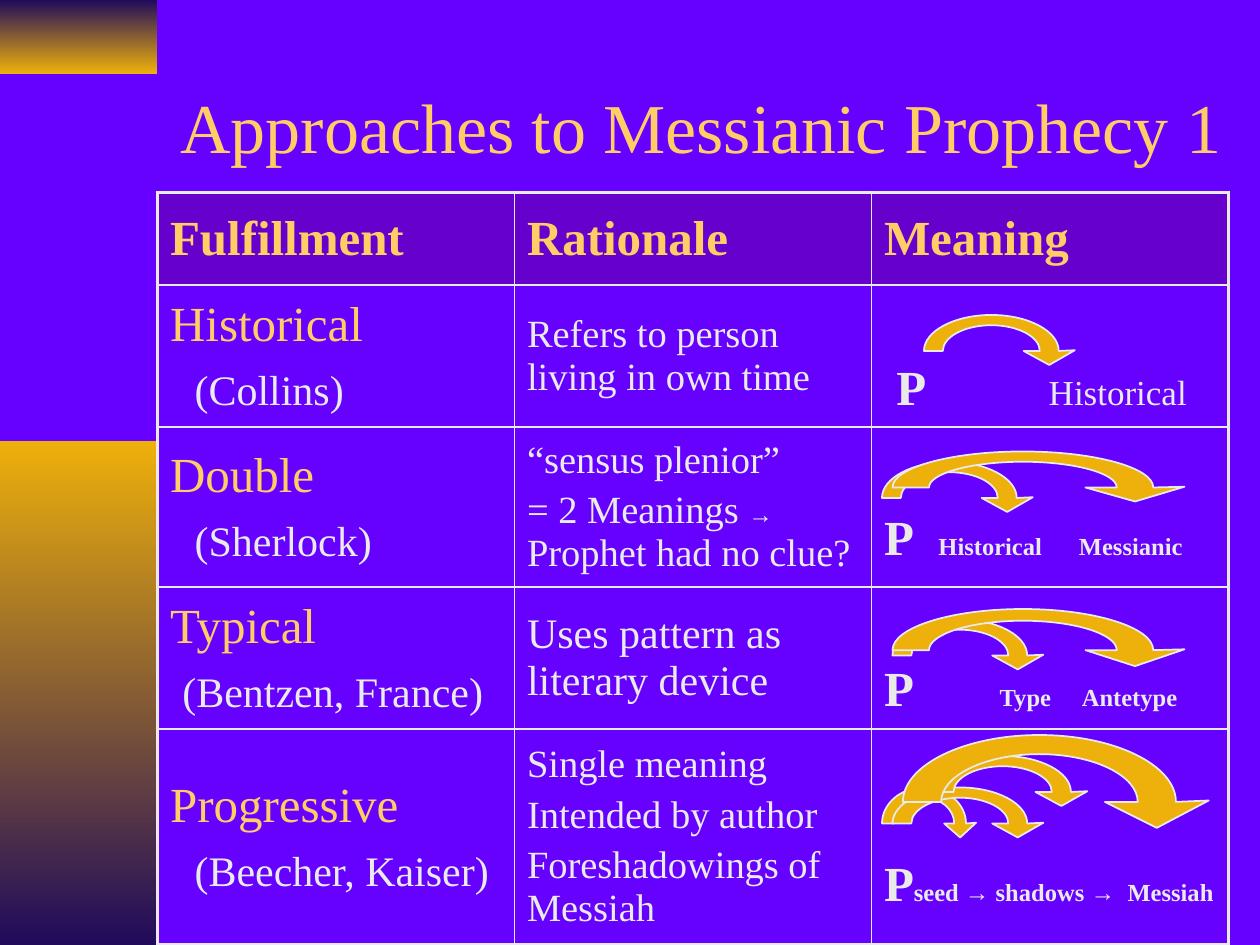
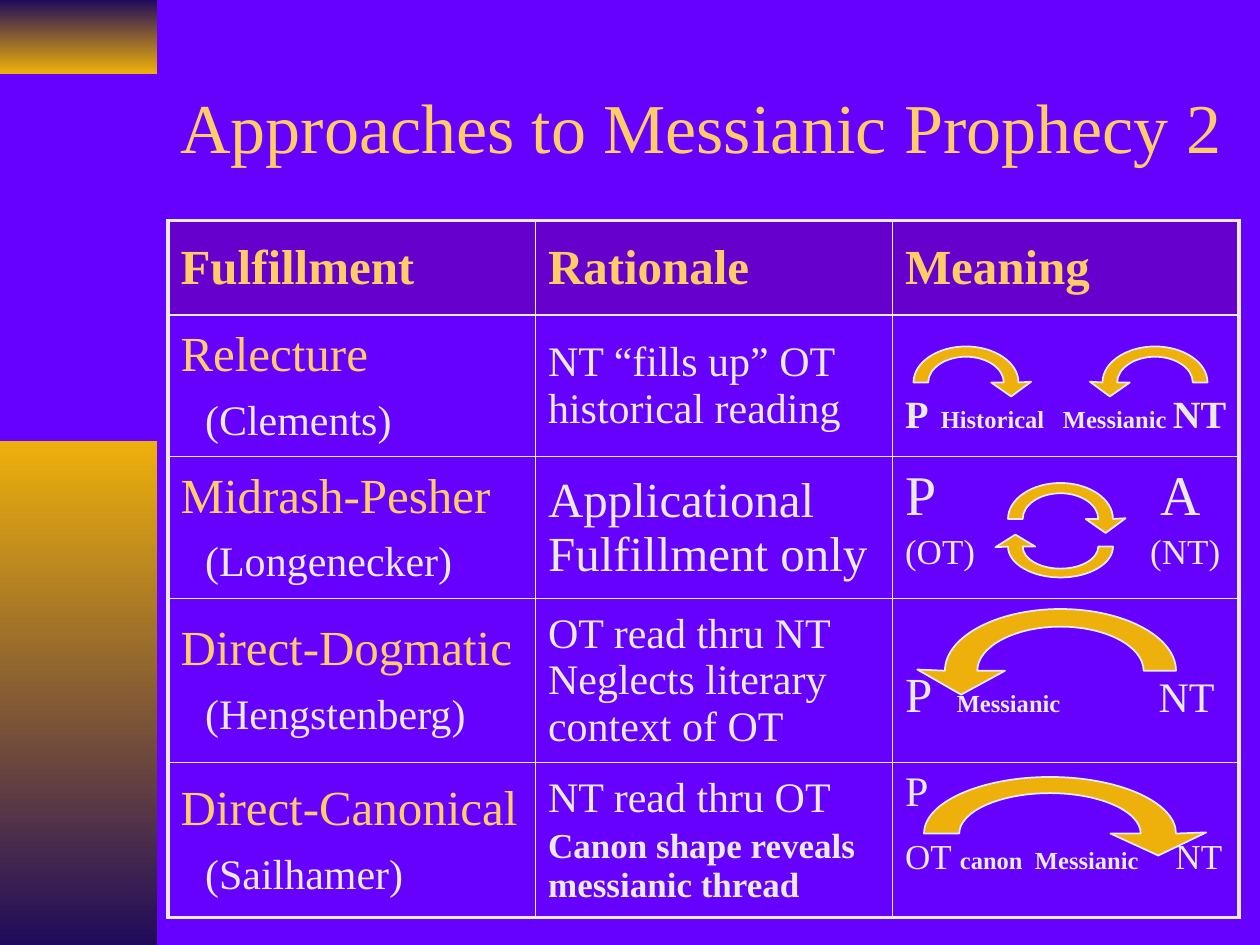
import itertools
from dataclasses import dataclass

import pptx
import pptx.dml.color
import pptx.enum.shapes
import pptx.enum.text
import pptx.oxml
import pptx.oxml.ns
import pptx.util
from lxml import etree

Pt = pptx.util.Pt
qn = pptx.oxml.ns.qn
ANCHOR = pptx.enum.text.MSO_ANCHOR

FONT = "Times New Roman"
VIOLET, PURPLE, NAVY = "6600FF", "6600CC", "200B5B"
GOLD, SAND, PALE = "EEB00B", "FFCC66", "EAEAEA"
HEADINGS = ("Fulfillment", "Rationale", "Meaning")
GAP_SIZE = 14


@dataclass
class Line:
    """One paragraph: runs of (text, size, bold), or a number for a gap of that width."""
    runs: list
    before: float = 0
    indent: float = 0
    color: str = PALE


@dataclass
class Approach:
    """One table row; lift is the space under the text of the Meaning cell."""
    name: str
    scholars: str
    rationale: list
    meaning: list
    lift: float
    height: float
    indent: float = 14


def plain(text, size, bold=False, before=0):
    """Return a line of a single run."""
    return Line([(text, size, bold)], before)


SLIDE_1 = [
    Approach("Historical", "(Collins)",
             [plain("Refers to person living in own time", 22)],
             [Line([("P", 28, True), 70, ("Historical", 20, False)], indent=7)],
             6, 81),
    Approach("Double", "(Sherlock)",
             [plain("“sensus plenior”", 22),
              Line([("= 2 Meanings ", 22, False), ("→", 14, True),
                    (" Prophet had no clue?", 22, False)], before=4)],
             [Line([("P", 28, True), 14, ("Historical", 14, True), 21, ("Messianic", 14, True)])],
             12, 91.5),
    Approach("Typical", "(Bentzen, France)",
             [plain("Uses pattern as literary device", 24)],
             [Line([("P", 28, True), 49, ("Type", 14, True), 17.5, ("Antetype", 14, True)])],
             6.5, 81, indent=7),
    Approach("Progressive", "(Beecher, Kaiser)",
             [plain("Single meaning", 22),
              plain("Intended by author", 22, before=4.5),
              plain("Foreshadowings of Messiah", 22, before=4.5)],
             [Line([("P", 28, True), ("seed → shadows →", 14, True), 7, ("Messiah", 14, True)])],
             18.5, 123.5),
]

SLIDE_2 = [
    Approach("Relecture", "(Clements)",
             [plain("NT “fills up” OT historical reading", 24)],
             [Line([("P", 22, True), 7, ("Historical", 14, True), 10.5,
                    ("Messianic ", 14, True), ("NT", 22, True)])],
             11.5, 81),
    Approach("Midrash-Pesher", "(Longenecker)",
             [plain("Applicational Fulfillment only", 28)],
             [Line([("P", 32, False), 128, ("A", 32, False)]),
              Line([("(OT)", 20, False), 100, ("(NT)", 20, False)], before=3.5)],
             15, 81),
    Approach("Direct-Dogmatic", "(Hengstenberg)",
             [plain("OT read thru NT Neglects literary context of OT", 24)],
             [Line([("P", 28, False), 14, ("Messianic", 14, True), 56, ("NT", 24, False)])],
             22.5, 93),
    Approach("Direct-Canonical", "(Sailhamer)",
             [plain("NT read thru OT", 24),
              plain("Canon shape reveals messianic thread", 20, True, before=3.5)],
             [plain("P", 24),
              Line([("OT ", 20, False), ("canon", 14, True), 7, ("Messianic", 14, True),
                    21, ("NT", 20, False)], before=12.5)],
             23.5, 88),
]

ARROWS_1 = [
    (528, 180, 77, 42),
    (504, 264, 77, 42), (510, 258, 149, 42),
    (510, 354, 77, 42), (510, 348, 149, 48),
    (504, 450, 48, 42), (510, 450, 77, 42), (534, 432, 78, 42), (516, 420, 156, 78),
]
ARROWS_2 = [
    (522, 198, 60, 42), (630, 198, 60, 42, True),
    (576, 276, 60, 42), (576, 294, 60, 36, True, True),
    (540, 348, 132, 72, True),
    (528, 444, 144, 66),
]


def rgb(value):
    """Turn a hex string into a colour."""
    return pptx.dml.color.RGBColor.from_string(value)


def add_run(paragraph, text, size, bold, color):
    """Append one styled run."""
    run = paragraph.add_run()
    run.text = text
    run.font.name, run.font.size, run.font.bold = FONT, Pt(size), bold
    run.font.color.rgb = rgb(color)
    return run


def add_gap(paragraph, width, color):
    """Append one space, widened by character spacing."""
    gap = add_run(paragraph, " ", GAP_SIZE, False, color)
    gap.font._element.set("spc", str(round((width - GAP_SIZE / 4) * 100)))


def write_lines(frame, lines):
    """Fill a text frame with lines, run by run."""
    frame.word_wrap = True
    for number, line in enumerate(lines):
        paragraph = frame.add_paragraph() if number else frame.paragraphs[0]
        if number:
            paragraph.space_before = Pt(line.before)
        properties = paragraph._p.get_or_add_pPr()
        properties.set("marL", str(Pt(line.indent)))
        properties.set("indent", "0")
        for piece in line.runs:
            if isinstance(piece, tuple):
                add_run(paragraph, *piece, line.color)
            else:
                add_gap(paragraph, piece, line.color)


def add_band(slide, top, height, start, end):
    """Draw a vertical gradient block at the left edge."""
    band = slide.shapes.add_shape(pptx.enum.shapes.MSO_SHAPE.RECTANGLE,
                                  0, Pt(top), Pt(90), Pt(height))
    band.shadow.inherit = False
    band.line.fill.background()
    band.fill.gradient()
    band.fill.gradient_angle = 270
    for stop, position, color in zip(band.fill.gradient_stops, (0, 1), (start, end)):
        stop.position = position
        stop.color.rgb = rgb(color)


def add_title(slide, text):
    """Place the slide title."""
    title = slide.shapes.add_textbox(Pt(96), Pt(24), Pt(612), Pt(95)).text_frame
    title.vertical_anchor = ANCHOR.MIDDLE
    write_lines(title, [Line([(text, 40, False)], color=SAND)])


def set_borders(cell, widths):
    """Draw the left, right, top and bottom borders of a cell."""
    properties = cell._tc.get_or_add_tcPr()
    for side, width in zip("LRTB", widths):
        properties.append(pptx.oxml.parse_xml(
            f'<a:ln{side} {pptx.oxml.ns.nsdecls("a")} w="{Pt(width)}"><a:solidFill>'
            f'<a:srgbClr val="{PALE}"/></a:solidFill></a:ln{side}>'))


def add_approach_table(slide, left, top, columns, header_height, approaches):
    """Draw the table of approaches under its heading row."""
    heights = [header_height] + [approach.height for approach in approaches]
    table = slide.shapes.add_table(len(heights), len(columns), Pt(left), Pt(top),
                                   Pt(sum(columns)), Pt(sum(heights))).table
    table.first_row = table.horz_banding = False
    for column, width in zip(table.columns, columns):
        column.width = Pt(width)
    for row, height in zip(table.rows, heights):
        row.height = Pt(height)

    contents = [[[Line([(heading, 28, True)], color=SAND)] for heading in HEADINGS]]
    for approach in approaches:
        label = [Line([(approach.name, 28, False)], color=SAND),
                 Line([(approach.scholars, 24, False)], before=9, indent=approach.indent)]
        contents.append([label, approach.rationale, approach.meaning])

    last_row, last_column = len(heights) - 1, len(columns) - 1
    for r, row in enumerate(contents):
        for c, lines in enumerate(row):
            cell = table.cell(r, c)
            outer = (c == 0, c == last_column, r == 0, r == last_row)
            set_borders(cell, [2.25 if edge else 1 for edge in outer])
            cell.vertical_anchor = ANCHOR.MIDDLE
            if r == 0:
                cell.fill.solid()
                cell.fill.fore_color.rgb = rgb(PURPLE)
            else:
                cell.fill.background()
                if c == last_column:
                    cell.vertical_anchor = ANCHOR.BOTTOM
                    cell.margin_top = cell.margin_right = 0
                    cell.margin_bottom = Pt(approaches[r - 1].lift)
            write_lines(cell.text_frame, lines)


def arch(radius):
    """Return the seven Bezier points of a half circle, from left to right."""
    base, apex, pull = 0.49, 0.5 - radius, 0.55
    rise = base - pull * (base - apex)
    left = [(0.5 - radius, base), (0.5 - radius, rise), (0.5 - pull * radius, apex)]
    return left + [(0.5, apex)] + [(1 - x, y) for x, y in reversed(left)]


def bend(path, starts):
    """Turn each three straight segments that begin at the given places into a curve."""
    segments = path.findall(qn("a:lnTo"))
    for start in starts:
        group = segments[start:start + 3]
        curve = etree.Element(qn("a:cubicBezTo"))
        group[0].addprevious(curve)
        for segment in group:
            curve.append(segment[0])
            path.remove(segment)


def add_curved_arrow(slide, left, top, width, height, flip_x=False, flip_y=False):
    """Draw an arched arrow; the head reaches a little beyond the given width."""
    head = [(1.12, 0.48), (0.93, 0.68), (0.74, 0.49)]
    outline = list(itertools.chain(arch(0.5), head, reversed(arch(0.36))))
    points = [(Pt(left + width * (1 - x if flip_x else x)),
               Pt(top + height * (1 - y if flip_y else y))) for x, y in outline]
    builder = slide.shapes.build_freeform(*points[0])
    builder.add_line_segments(points[1:], close=True)
    arrow = builder.convert_to_shape()
    bend(next(arrow._element.iter(qn("a:path"))), (0, 3, 10, 13))
    arrow.shadow.inherit = False
    arrow.fill.solid()
    arrow.fill.fore_color.rgb = rgb(GOLD)
    arrow.line.color.rgb = rgb(PALE)
    arrow.line.width = Pt(1)


def add_approach_slide(deck, title, table, arrows):
    """Add one slide with bands, title, table and arrows."""
    slide = deck.slides.add_slide(deck.slide_layouts[6])
    add_band(slide, 0, 42, NAVY, GOLD)
    add_band(slide, 252, 288, GOLD, NAVY)
    add_title(slide, title)
    add_approach_table(slide, *table)
    for arrow in arrows:
        add_curved_arrow(slide, *arrow)


def main():
    """Build the deck."""
    deck = pptx.Presentation()
    deck.slide_width, deck.slide_height = Pt(720), Pt(540)
    backdrop = deck.slide_master.background.fill
    backdrop.solid()
    backdrop.fore_color.rgb = rgb(VIOLET)
    add_approach_slide(deck, "Approaches to Messianic Prophecy 1",
                       (90, 110, (204, 204, 204), 53, SLIDE_1), ARROWS_1)
    add_approach_slide(deck, "Approaches to Messianic Prophecy 2",
                       (96, 126, (210, 204, 198), 54, SLIDE_2), ARROWS_2)
    deck.save("out.pptx")


if __name__ == "__main__":
    main()
